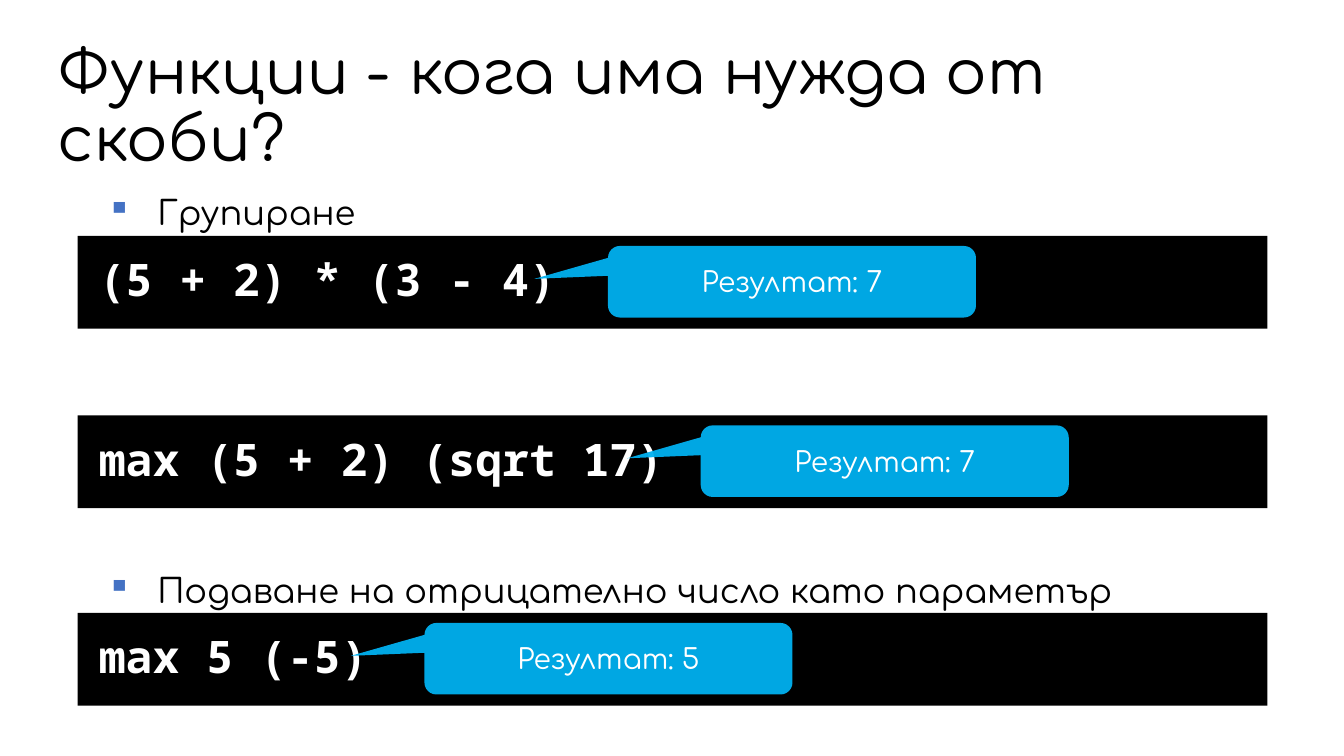
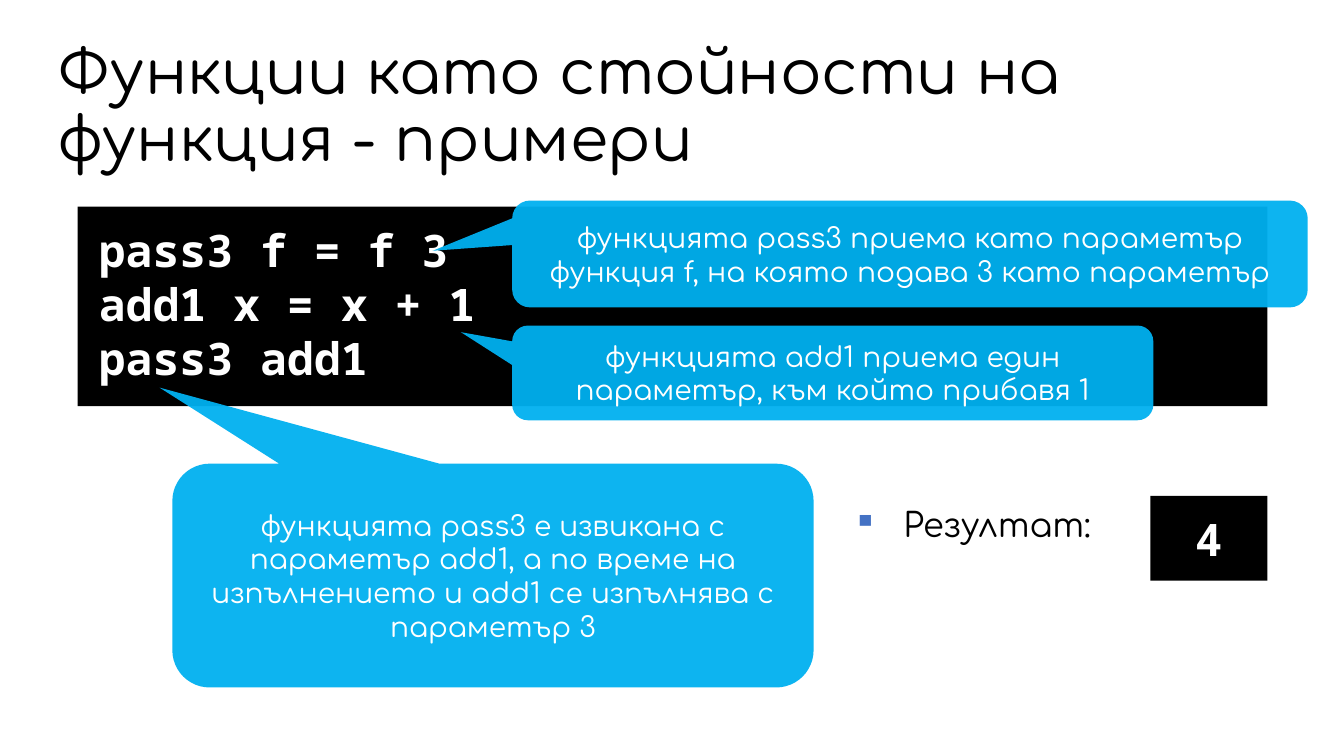
from lxml import etree
from pptx import Presentation
from pptx.dml.color import RGBColor
from pptx.enum.shapes import MSO_SHAPE
from pptx.enum.text import MSO_ANCHOR, PP_ALIGN
from pptx.oxml.ns import qn
from pptx.util import Inches, Pt

RECTANGLE = MSO_SHAPE.RECTANGLE
CALLOUT = MSO_SHAPE.ROUNDED_RECTANGULAR_CALLOUT
TOP, MIDDLE = MSO_ANCHOR.TOP, MSO_ANCHOR.MIDDLE
LEFT, CENTER, JUSTIFY = PP_ALIGN.LEFT, PP_ALIGN.CENTER, PP_ALIGN.JUSTIFY

BLACK, WHITE, SKY, BULLET_BLUE = "000000", "FFFFFF", "00B0F0", "4472C4"
TEXT_FONT, CODE_FONT = "Comfortaa", "Noto Sans Mono"
CALLOUT_OPACITY = 95

# geometry, fill, text colour, font, size, anchor, horizontal and vertical inset
STYLES = {
    "title": (None, None, BLACK, TEXT_FONT, 44, MIDDLE, 0.12, 0.04),
    "bullet": (None, None, BLACK, TEXT_FONT, 24, TOP, 0.12, 0.04),
    "code": (RECTANGLE, BLACK, WHITE, CODE_FONT, 32, TOP, 0.21, 0.16),
    "callout": (CALLOUT, SKY, WHITE, TEXT_FONT, 20, MIDDLE, 0.13, 0.07),
}

MARGIN, CONTENT_WIDTH = 0.77, 11.8
CODE_HEIGHT = 0.92
TITLE_AREA = (0.45, 0.65, 12.42, 0.84)


def add_block(slide, style, area, lines, align=LEFT, spacing=None, before=None, pointer=None):
    """Add a text block; pointer is the callout tip as fractions of its size from the centre."""
    geometry, fill, color, font, size, anchor, inset_x, inset_y = STYLES[style]
    position = [Inches(length) for length in area]
    if geometry is None:
        shape = slide.shapes.add_textbox(*position)
    else:
        shape = slide.shapes.add_shape(geometry, *position)
        shape.shadow.inherit = False
        shape.line.fill.background()
        shape.fill.solid()
        shape.fill.fore_color.rgb = RGBColor.from_string(fill)
    if pointer:
        shape.adjustments[0], shape.adjustments[1] = pointer
        fill_color = shape.fill._xPr.find(qn("a:solidFill"))[0]
        etree.SubElement(fill_color, qn("a:alpha"), val=str(CALLOUT_OPACITY * 1000))

    frame = shape.text_frame
    frame.word_wrap = True
    frame.vertical_anchor = anchor
    frame.margin_left = frame.margin_right = Inches(inset_x)
    frame.margin_top = frame.margin_bottom = Inches(inset_y)
    frame.text = "\n".join(lines)
    for paragraph in frame.paragraphs:
        paragraph.alignment = align
        paragraph.line_spacing = spacing
        paragraph.space_before = before
        if style == "bullet":
            add_bullet(paragraph)
        paragraph.font.name = font
        paragraph.font.size = Pt(size)
        paragraph.font.bold = style == "code"
        paragraph.font.color.rgb = RGBColor.from_string(color)


def add_bullet(paragraph):
    properties = paragraph._p.get_or_add_pPr()
    properties.set("marL", str(Inches(0.67)))
    properties.set("indent", str(Inches(-0.5)))
    bullet_color = etree.SubElement(properties, qn("a:buClr"))
    etree.SubElement(bullet_color, qn("a:srgbClr"), val=BULLET_BLUE)
    etree.SubElement(properties, qn("a:buChar"), char="▪")


presentation = Presentation()
presentation.slide_width = Inches(13.33)
presentation.slide_height = Inches(7.5)
blank_layout = presentation.slide_layouts[6]

# When brackets are needed
slide = presentation.slides.add_slide(blank_layout)
add_block(slide, "title", TITLE_AREA, ["Функции - кога има нужда от скоби?"], spacing=0.9)

for top, text in [(1.66, "Групиране"), (5.41, "Подаване на отрицателно число като параметър")]:
    add_block(slide, "bullet", (MARGIN, top, CONTENT_WIDTH, 0.55), [text],
              align=JUSTIFY, spacing=1.5)

expressions = [
    (2.34, "(5 + 2) * (3 - 4)", 6.03, "Резултат: 7"),
    (4.12, "max (5 + 2) (sqrt 17)", 6.95, "Резултат: 7"),
    (6.08, "max 5 (-5)", 4.21, "Резултат: 5"),
]
for top, code, result_left, result in expressions:
    add_block(slide, "code", (MARGIN, top, CONTENT_WIDTH, CODE_HEIGHT), [code])
    add_block(slide, "callout", (result_left, top + 0.1, 3.65, 0.71), [result],
              align=CENTER, pointer=(-0.7, -0.04))

# Functions as values
slide = presentation.slides.add_slide(blank_layout)
add_block(slide, "title", TITLE_AREA, ["Функции като стойности на функция - примери"], spacing=0.9)
add_block(slide, "code", (MARGIN, 2.05, CONTENT_WIDTH, 1.98),
          ["pass3 f = f 3", "add1 x = x + 1", "pass3 add1"])

explanations = [
    ((5.08, 1.99, 7.89, 1.06), (-0.6, -0.03),
     "функцията pass3 приема като параметър функция f, на която подава 3 като параметър"),
    ((5.08, 3.23, 6.36, 0.94), (-0.58, -0.43),
     "функцията add1 приема един параметър, към който прибавя 1"),
    ((1.71, 4.6, 6.36, 2.22), (-0.52, -0.84),
     "функцията pass3 е извикана с параметър add1, а по време на изпълнението "
     "и add1 се изпълнява с параметър 3"),
]
for area, pointer, text in explanations:
    add_block(slide, "callout", area, [text], align=CENTER, pointer=pointer)

add_block(slide, "bullet", (8.17, 4.94, 2.94, 0.84), ["Резултат:"], spacing=1.05, before=Pt(6.7))
add_block(slide, "code", (11.41, 4.92, 1.16, 0.84), ["4"], align=CENTER)

presentation.save("out.pptx")
